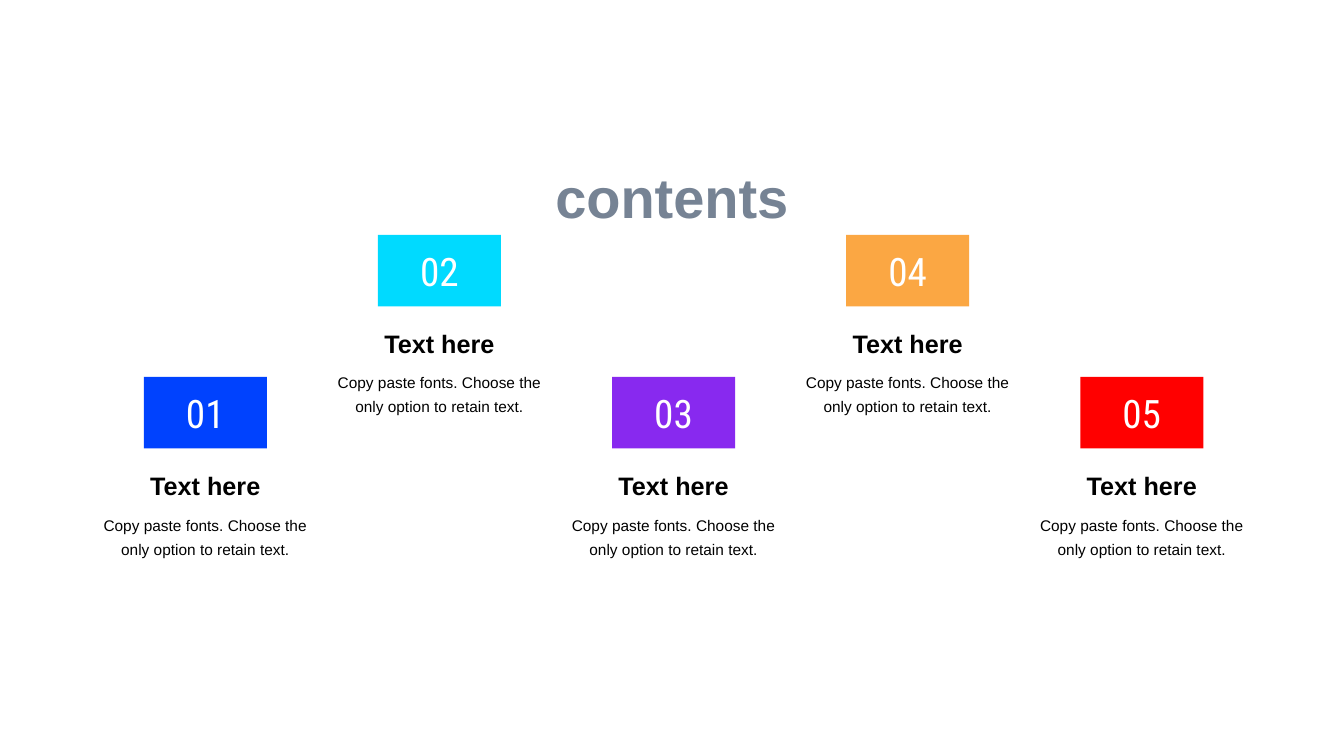
from dataclasses import dataclass

from pptx import Presentation
from pptx.dml.color import RGBColor
from pptx.enum.shapes import MSO_SHAPE
from pptx.enum.text import MSO_ANCHOR, MSO_AUTO_SIZE, PP_ALIGN
from pptx.util import Cm, Pt

RECT = MSO_SHAPE.RECTANGLE
TOP, MIDDLE, BOTTOM = MSO_ANCHOR.TOP, MSO_ANCHOR.MIDDLE, MSO_ANCHOR.BOTTOM
CENTER = PP_ALIGN.CENTER
NO_FIT = MSO_AUTO_SIZE.NONE
TITLE_ONLY = 5


@dataclass(frozen=True)
class Theme:
    font: str = "Arial"
    digits: str = "Roboto Condensed"
    title: str = "768394"
    ink: str = "000000"
    white: str = "FFFFFF"
    tiles: tuple = ("0042FE", "00DAFF", "8829EF", "FBA743", "FF0000")
    title_size: int = 40
    tile_size: int = 28
    head_size: int = 18
    body_size: int = 11


THEME = Theme()
HEAD = "Text here"
BODY = "Copy paste fonts. Choose the only option to retain text."


def write(shape, text, size, color, font=THEME.font, bold=False,
          anchor=TOP, wrap=False, lines=1.0):
    frame = shape.text_frame
    frame.text = text
    frame.auto_size = NO_FIT
    frame.word_wrap = wrap
    frame.vertical_anchor = anchor
    para = frame.paragraphs[0]
    para.alignment = CENTER
    para.line_spacing = lines
    face = para.runs[0].font
    face.name, face.size, face.bold = font, Pt(size), bold
    face.color.rgb = RGBColor.from_string(color)


def add_title(slide, left, top, width, height):
    title = slide.shapes.title
    title.left, title.top = Cm(left), Cm(top)
    title.width, title.height = Cm(width), Cm(height)
    write(title, "contents", THEME.title_size, THEME.title, bold=True)


def add_item(slide, left, top, width, number, color):
    shapes = slide.shapes

    # Numbered tile, centred in the column
    tile_w = 3.1
    tile = shapes.add_shape(RECT, Cm(left + (width - tile_w) / 2), Cm(top),
                            Cm(tile_w), Cm(1.8))
    tile.shadow.inherit = False
    tile.fill.solid()
    tile.fill.fore_color.rgb = RGBColor.from_string(color)
    tile.line.fill.background()
    write(tile, f"{number:02}", THEME.tile_size, THEME.white,
          font=THEME.digits, anchor=MIDDLE)

    # Heading and text below the tile
    head = shapes.add_textbox(Cm(left), Cm(top + 2.16), Cm(width), Cm(1.07))
    write(head, HEAD, THEME.head_size, THEME.ink, bold=True, anchor=BOTTOM)
    body = shapes.add_textbox(Cm(left), Cm(top + 3.23), Cm(width), Cm(1.55))
    write(body, BODY, THEME.body_size, THEME.ink, wrap=True, lines=1.3)


def add_items(slide, left, top, width, pitch, drop):
    # Odd numbers stand one step lower than even ones
    for number, color in enumerate(THEME.tiles, 1):
        add_item(slide, left + (number - 1) * pitch, top + number % 2 * drop,
                 width, number, color)


def main():
    deck = Presentation()
    deck.slide_width, deck.slide_height = Cm(33.87), Cm(19.05)
    slide = deck.slides.add_slide(deck.slide_layouts[TITLE_ONLY])
    add_title(slide, 12.6, 3.96, 8.66, 1.98)
    add_items(slide, 2.24, 5.92, 5.87, 5.9, 3.58)
    deck.save("out.pptx")


if __name__ == "__main__":
    main()
